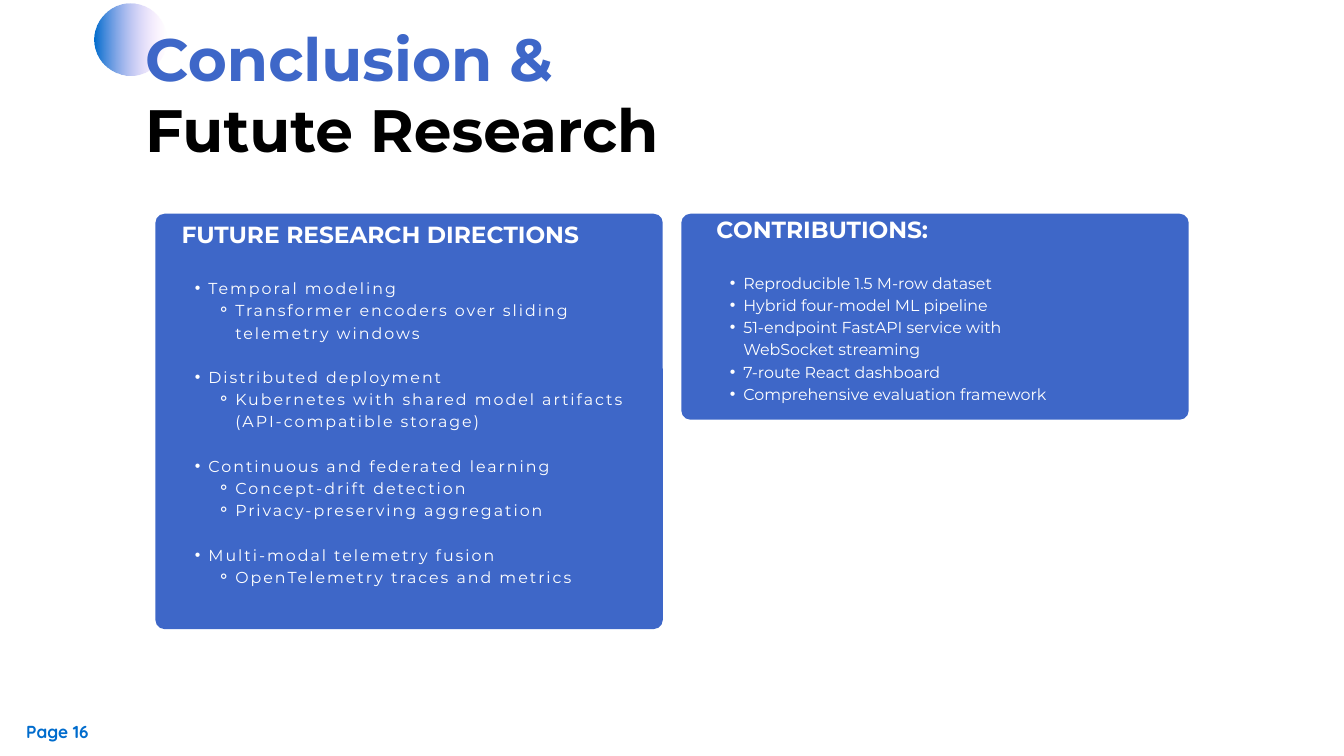
"""Build the closing slide: a two-line title, two cards of bullets and a page mark."""
import pptx
import pptx.util
import pptx.dml.color
import pptx.enum.shapes
import pptx.enum.text
import lxml.etree

Pt = pptx.util.Pt
RGB = pptx.dml.color.RGBColor.from_string

THEME = {
    "blue": "3E67C8", "white": "FFFFFF", "black": "000000",
    "sky": "006CCD", "pink": "F5AEFF",
    "font": "Montserrat", "page_font": "Quicksand",
    "title": 64, "head": 25, "body": 17, "page": 18.6,
    "title_line": 76.3, "head_line": 22.8, "body_line": 23.8, "page_line": 26.1,
}
SLIDE = (1440, 810)
TITLE = [("Conclusion &", "blue"), ("Futute Research", "black")]
TITLE_BOX = (155.5, 24.1, 574.5, 152.6)
DISC = (101.5, 4.3, 77, 77)
PAGE = ("Page 16", (28.1, 769, 127.4, 24.5))
LEVELS = {1: ("•", 28.8, -14.4), 2: ("⚬", 57.6, -19.4)}
CARD_TOP, CARD_WIDE, RADIUS, HEAD_GAP = 229, 543.6, 9.7, 51.8

CARDS = [
    {"left": 166.5, "high": 445, "head": "FUTURE RESEARCH DIRECTIONS",
     "text": (194.5, 243.4), "wide": 482.4, "track": 2.1, "groups": [
         ("Temporal modeling",
          ["Transformer encoders over sliding telemetry windows"]),
         ("Distributed deployment",
          ["Kubernetes with shared model artifacts (API-compatible storage)"]),
         ("Continuous and federated learning",
          ["Concept-drift detection", "Privacy-preserving aggregation"]),
         ("Multi-modal telemetry fusion",
          ["OpenTelemetry traces and metrics"]),
     ]},
    {"left": 730, "high": 220.7, "head": "CONTRIBUTIONS:",
     "text": (767.6, 237.6), "wide": 363, "track": 0, "groups": [
         ("Reproducible 1.5 M-row dataset", []),
         ("Hybrid four-model ML pipeline", []),
         ("51-endpoint FastAPI service with WebSocket streaming", []),
         ("7-route React dashboard", []),
         ("Comprehensive evaluation framework", []),
     ]},
]


def place(shape, box):
    shape.left, shape.top, shape.width, shape.height = map(Pt, box)


def set_frame(shape):
    frame = shape.text_frame
    frame.word_wrap = True
    frame.auto_size = pptx.enum.text.MSO_AUTO_SIZE.NONE
    frame.vertical_anchor = pptx.enum.text.MSO_ANCHOR.TOP
    frame.margin_left = frame.margin_right = 0
    frame.margin_top = frame.margin_bottom = 0
    return frame


def add_box(slide, box):
    return set_frame(slide.shapes.add_textbox(*map(Pt, box)))


def add_line(frame, text, kind, color, bold=True, font="font", first=False):
    para = frame.paragraphs[0] if first else frame.add_paragraph()
    para.alignment = pptx.enum.text.PP_ALIGN.LEFT
    para.line_spacing = Pt(THEME[kind + "_line"])
    para.space_before = Pt(0)
    run = para.add_run()
    run.text = text
    run.font.name = THEME[font]
    run.font.size = Pt(THEME[kind])
    run.font.bold = bold
    run.font.color.rgb = RGB(THEME[color])
    return para


def add_sub(parent, tag, **attrs):
    return lxml.etree.SubElement(parent, pptx.oxml.ns.qn(tag), attrs)


def add_bullet(para, level):
    mark, left, hang = LEVELS[level]
    para.level = level
    props = para._p.get_or_add_pPr()
    props.set("marL", str(Pt(left)))
    props.set("indent", str(Pt(hang)))
    add_sub(props, "a:buFont", typeface="Arial")
    add_sub(props, "a:buChar", char=mark)


def add_shape(slide, kind, box):
    shape = slide.shapes.add_shape(kind, *map(Pt, box))
    shape.shadow.inherit = False
    shape.line.fill.background()
    return shape


def add_disc(slide):
    disc = add_shape(slide, pptx.enum.shapes.MSO_SHAPE.OVAL, DISC)
    disc.fill.gradient()
    disc.fill.gradient_angle = 0
    for stop, name in zip(disc.fill.gradient_stops, ("sky", "pink")):
        stop.color.rgb = RGB(THEME[name])
    add_sub(disc.element.xpath(".//a:gs/a:srgbClr")[-1], "a:alpha", val="0")
    return disc


def add_card(slide, card):
    box = (card["left"], CARD_TOP, CARD_WIDE, card["high"])
    panel = add_shape(slide, pptx.enum.shapes.MSO_SHAPE.ROUNDED_RECTANGLE, box)
    panel.adjustments[0] = RADIUS / min(CARD_WIDE, card["high"])
    panel.fill.solid()
    panel.fill.fore_color.rgb = RGB(THEME["blue"])

    left, top = card["text"]
    head = add_box(slide, (left, top, card["wide"], THEME["head_line"]))
    add_line(head, card["head"], "head", "white", first=True)

    lines = [(level, text) for lead, subs in card["groups"]
             for level, text in [(1, lead)] + [(2, sub) for sub in subs]]
    top += HEAD_GAP
    high = CARD_TOP + card["high"] - top
    body = add_box(slide, (left, top, card["wide"], high))
    prior = 1
    for num, (level, text) in enumerate(lines):
        para = add_line(body, text, "body", "white", False, first=num == 0)
        add_bullet(para, level)
        if level < prior:
            para.space_before = Pt(THEME["body_line"])
        if card["track"]:
            props = para.runs[0]._r.get_or_add_rPr()
            props.set("spc", str(round(card["track"] * 100)))
        prior = level


def main():
    deck = pptx.Presentation()
    deck.slide_width, deck.slide_height = map(Pt, SLIDE)
    slide = deck.slides.add_slide(deck.slide_layouts[5])

    title = slide.shapes.title
    place(title, TITLE_BOX)
    frame = set_frame(title)
    for num, (text, color) in enumerate(TITLE):
        add_line(frame, text, "title", color, first=num == 0)
    title.element.addprevious(add_disc(slide).element)

    for card in CARDS:
        add_card(slide, card)

    text, box = PAGE
    add_line(add_box(slide, box), text, "page", "sky", font="page_font", first=True)
    deck.save("out.pptx")


if __name__ == "__main__":
    main()
